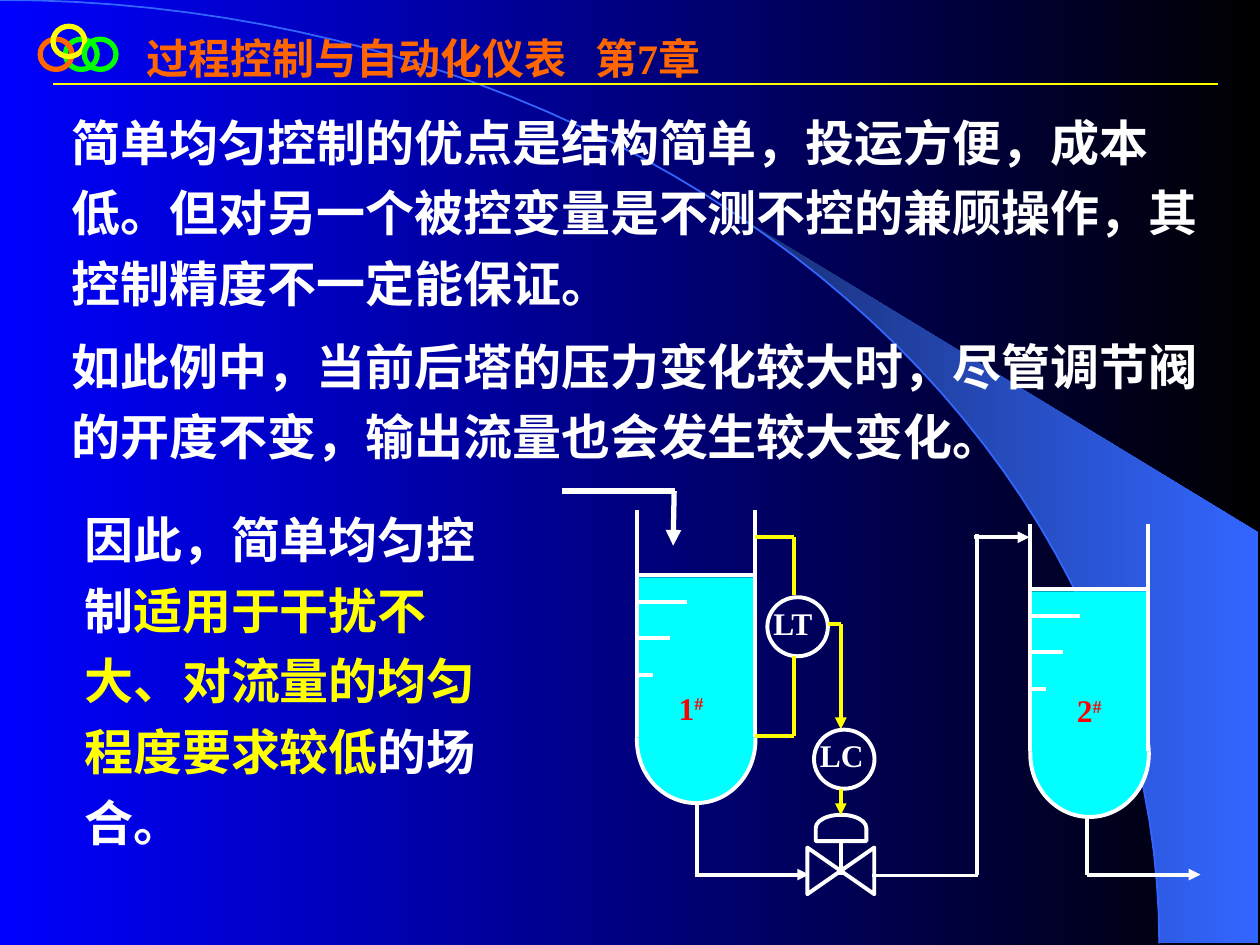
from dataclasses import dataclass
from math import asin, cos, pi, sin

from lxml import etree
from pptx import Presentation
from pptx.dml.color import RGBColor
from pptx.enum.shapes import MSO_CONNECTOR, MSO_SHAPE
from pptx.enum.text import MSO_ANCHOR, MSO_AUTO_SIZE, PP_ALIGN
from pptx.oxml.ns import qn
from pptx.util import Cm, Pt

LINE = MSO_CONNECTOR.STRAIGHT
OVAL, RECT = MSO_SHAPE.OVAL, MSO_SHAPE.RECTANGLE
VALVE, CAP = MSO_SHAPE.FLOWCHART_COLLATE, MSO_SHAPE.FLOWCHART_DELAY
MIDDLE, TOP = MSO_ANCHOR.MIDDLE, MSO_ANCHOR.TOP
GROW, FIXED = MSO_AUTO_SIZE.SHAPE_TO_FIT_TEXT, MSO_AUTO_SIZE.NONE
LEFT, JUST = PP_ALIGN.LEFT, PP_ALIGN.JUSTIFY


@dataclass(frozen=True)
class Theme:
    font: str = "Times New Roman"
    white: str = "FFFFFF"
    yellow: str = "FFFF00"
    orange: str = "FF6600"
    green: str = "00FF00"
    red: str = "FF0000"
    water: str = "00FFFF"
    blue: str = "0000FF"
    black: str = "000000"
    sky: str = "3366FF"
    navy: str = "182F76"
    title: int = 24
    body: int = 28
    label: int = 18
    pipe: float = 2.25
    thick: float = 3


T = Theme()


def rgb(code):
    return RGBColor.from_string(code)


def blend(fill, start, end):
    fill.gradient()
    fill.gradient_angle = 0
    for stop, code in zip(fill.gradient_stops, (start, end)):
        stop.color.rgb = rgb(code)


def style(item, fill=None, line=None, width=T.pipe):
    item.shadow.inherit = False
    if fill:
        item.fill.solid()
        item.fill.fore_color.rgb = rgb(fill)
    else:
        item.fill.background()
    if line:
        item.line.color.rgb = rgb(line)
        item.line.width = Pt(width)
    else:
        item.line.fill.background()


def shape(slide, kind, x, y, w, h, turn=0, **look):
    item = slide.shapes.add_shape(kind, Cm(x), Cm(y), Cm(w), Cm(h))
    item.rotation = turn
    style(item, **look)


def pipe(slide, x1, y1, x2, y2, color=T.white, width=T.pipe, arrow=False):
    item = slide.shapes.add_connector(LINE, Cm(x1), Cm(y1), Cm(x2), Cm(y2))
    item.line.color.rgb = rgb(color)
    item.line.width = Pt(width)
    if arrow:
        ln = item.line._get_or_add_ln()
        etree.SubElement(ln, qn("a:tailEnd"), type="triangle")
    etree.SubElement(item._element.spPr, qn("a:effectLst"))


def outline(slide, points, closed):
    spots = [(Cm(x), Cm(y)) for x, y in points]
    path = slide.shapes.build_freeform(*spots[0])
    path.add_line_segments(spots[1:], close=closed)
    return path.convert_to_shape()


def text(slide, box, paras, size, color=T.white, anchor=TOP, fit=FIXED,
         align=LEFT, space=1.2, tab=None):
    """Each paragraph is a list of (words, colour or None, raised) runs."""
    frame = slide.shapes.add_textbox(*map(Cm, box)).text_frame
    frame.word_wrap = True
    frame.auto_size = fit
    frame.vertical_anchor = anchor
    for i, runs in enumerate(paras):
        para = frame.add_paragraph() if i else frame.paragraphs[0]
        props = para._p.get_or_add_pPr()
        props.set("hangingPunct", "0")
        para.alignment = align
        para.line_spacing = space
        if i:
            para.space_before = Pt(7)
        if tab:
            stops = etree.SubElement(props, qn("a:tabLst"))
            etree.SubElement(stops, qn("a:tab"), pos=str(Cm(tab)), algn="l")
        font = para.font
        font.name, font.size, font.bold = T.font, Pt(size), True
        font.color.rgb = rgb(color)
        for words, tint, raised in runs:
            run = para.add_run()
            run.text = words
            if tint:
                run.font.color.rgb = rgb(tint)
            if raised:
                run._r.get_or_add_rPr().set("baseline", "30000")


def label(slide, x, y, words, mark="", color=T.white, high=1.02):
    runs = [(words, None, False)]
    if mark:
        runs.append((mark, None, True))
    text(slide, (x, y, 1.73, high), [runs], T.label, color, align=JUST)


def tank(slide, x, y):
    shape(slide, OVAL, x, y + 3.36, 2.39, 2.54, fill=T.water, line=T.white)
    shape(slide, RECT, x, y + 1.35, 2.39, 3.23, fill=T.water)
    for side in (x, x + 2.38):
        pipe(slide, side, y, side, y + 4.57)
    # Water level and the marks below it
    for drop, long in ((1.3, 2.34), (1.85, 0.96), (2.57, 0.62), (3.32, 0.28)):
        pipe(slide, x + 0.04, y + drop, x + 0.04 + long, y + drop)


def meter(slide, x, y, name):
    shape(slide, OVAL, x, y, 1.22, 1.19, line=T.white)
    label(slide, x - 0.13, y - 0.15, name)


def backdrop(slide):
    blend(slide.background.fill, T.blue, T.black)
    wide, high, edge = 23.37, 19.02, 25.37

    def arc(start, count=48):
        angles = (start + (pi / 2 - start) * i / count for i in range(count + 1))
        return [(wide * sin(a), high * (1 - cos(a))) for a in angles]

    wedge = outline(slide, arc(asin(0.64)) + [(edge, high), (edge, 10.74)], True)
    style(wedge)
    blend(wedge.fill, T.navy, T.sky)
    style(outline(slide, arc(0), False), line=T.sky, width=1)


def header(slide):
    rings = ((1.32, 0.79, T.green), (0.81, 0.79, T.orange),
             (1.07, 0.53, T.yellow), (1.7, 0.79, T.green))
    for x, y, color in rings:
        shape(slide, OVAL, x, y, 0.64, 0.61, line=color, width=T.thick)
    pipe(slide, 1.07, 1.69, 24.56, 1.69, T.yellow, 1.5)
    text(slide, (2.71, 0.53, 21.39, 1.27),
         [[("过程控制与自动化仪表\t第7章", None, False)]],
         T.title, T.orange, fit=GROW, space=1.0, tab=9.04)


def diagram(slide):
    # Tanks and instruments
    tank(slide, 12.84, 10.29)
    tank(slide, 20.77, 10.57)
    label(slide, 13.43, 13.61, "1", "#", T.red, 1.6)
    label(slide, 21.46, 13.66, "2", "#", T.red, 1.6)
    meter(slide, 15.47, 12.04, "LT")
    meter(slide, 16.41, 14.71, "LC")

    # Control valve
    shape(slide, VALVE, 16.48, 16.88, 0.94, 1.35, 270, line=T.white)
    shape(slide, CAP, 16.69, 16.18, 0.53, 1.02, 270, line=T.white)
    pipe(slide, 16.95, 16.97, 16.95, 17.63)

    # Feed
    pipe(slide, 11.33, 9.9, 13.61, 9.9, width=T.thick)
    pipe(slide, 13.59, 9.9, 13.57, 11, width=T.thick, arrow=True)

    # Process pipes
    for ends in ((14.05, 16.15, 14.05, 17.63), (17.58, 17.65, 19.71, 17.65),
                 (19.7, 10.77, 19.7, 17.63), (21.92, 16.43, 21.92, 17.63)):
        pipe(slide, *ends)
    for ends in ((14.02, 17.63, 16.31, 17.63), (19.63, 10.83, 20.75, 10.83),
                 (21.92, 17.63, 24.2, 17.63)):
        pipe(slide, *ends, arrow=True)

    # Signal lines
    for ends in ((15.21, 10.83, 16.01, 10.83), (15.21, 14.83, 16.01, 14.83),
                 (16.01, 10.83, 16.01, 11.99), (16.01, 13.23, 16.01, 14.83),
                 (16.69, 12.57, 16.95, 12.57)):
        pipe(slide, *ends, T.yellow)
    for start, end in ((12.57, 14.7), (15.9, 16.43)):
        pipe(slide, 16.95, start, 16.95, end, T.yellow, arrow=True)


def body(slide):
    text(slide, (1.45, 9.91, 9.25, 7.37), [[
        ("因此，简单均匀控制", None, False),
        ("适用于干扰不大、对流量的均匀程度要求较低", T.yellow, False),
        ("的场合。", None, False)]], T.body, anchor=MIDDLE, fit=GROW)
    notes = (
        "简单均匀控制的优点是结构简单，投运方便，成本低。"
        "但对另一个被控变量是不测不控的兼顾操作，其控制精度不一定能保证。",
        "如此例中，当前后塔的压力变化较大时，"
        "尽管调节阀的开度不变，输出流量也会发生较大变化。")
    text(slide, (1.2, 1.9, 23.62, 7.62),
         [[(words, None, False)] for words in notes], T.body, fit=GROW)


def main():
    deck = Presentation()
    deck.slide_width, deck.slide_height = Cm(25.4), Cm(19.05)
    slide = deck.slides.add_slide(deck.slide_layouts[6])
    backdrop(slide)
    header(slide)
    diagram(slide)
    body(slide)
    deck.save("out.pptx")


if __name__ == "__main__":
    main()
